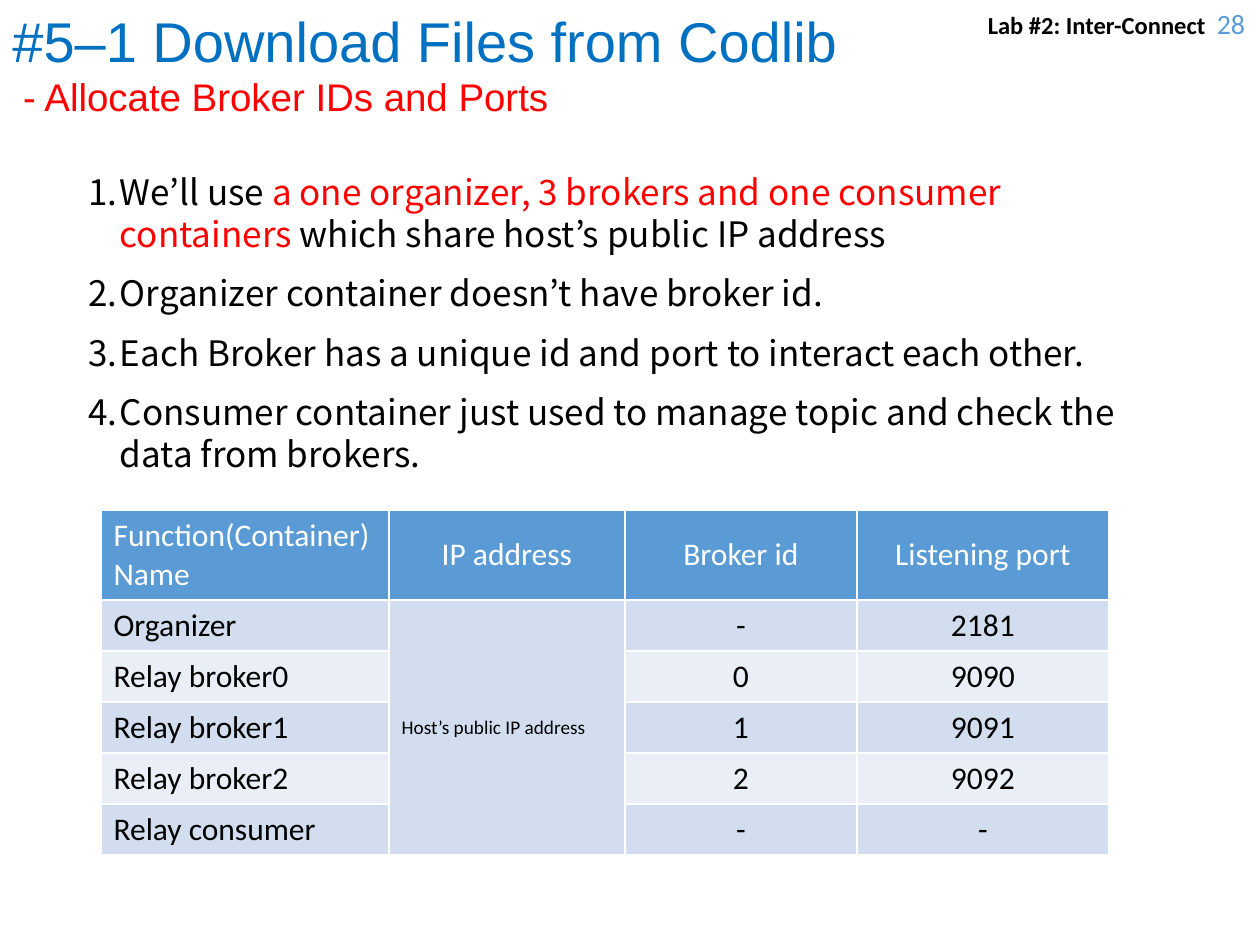
from typing import NamedTuple, Optional

from lxml.etree import SubElement
from pptx import Presentation
from pptx.dml.color import RGBColor
from pptx.enum.shapes import MSO_SHAPE
from pptx.enum.text import MSO_ANCHOR, PP_ALIGN
from pptx.oxml import parse_xml
from pptx.oxml.ns import nsdecls, qn
from pptx.util import Emu, Pt

PX = 914400 // 126

BLACK = RGBColor(0x00, 0x00, 0x00)
WHITE = RGBColor(0xFF, 0xFF, 0xFF)
RED = RGBColor(0xFF, 0x00, 0x00)
TITLE_BLUE = RGBColor(0x00, 0x70, 0xC0)
ACCENT = RGBColor(0x5B, 0x9B, 0xD5)
BAND_DARK = RGBColor(0xD2, 0xDE, 0xEF)
BAND_LIGHT = RGBColor(0xEA, 0xEF, 0xF7)


class Box(NamedTuple):
    x: int
    y: int
    w: int
    h: int

    def emu(self) -> list[Emu]:
        return [Emu(v * PX) for v in self]


class Span(NamedTuple):
    text: str
    size: int
    color: RGBColor = BLACK
    font: str = "Calibri"
    bold: bool = False


def add_spans(p, spans: list[Span], align: Optional[PP_ALIGN] = PP_ALIGN.LEFT) -> None:
    p.alignment = align
    for span in spans:
        r = p.add_run()
        r.text = span.text
        r.font.size = Pt(span.size)
        r.font.name = span.font
        r.font.bold = span.bold
        r.font.color.rgb = span.color


def add_text(s, box: Box):
    tf = s.shapes.add_textbox(*box.emu()).text_frame
    tf.word_wrap = True
    return tf


def number_paragraph(p) -> None:
    pPr = p._p.get_or_add_pPr()
    pPr.set("marL", "228600")
    pPr.set("indent", "-228600")
    SubElement(pPr, qn("a:buFont")).set("typeface", "+mj-lt")
    SubElement(pPr, qn("a:buAutoNum")).set("type", "arabicPeriod")


def set_borders(cell) -> None:
    tcPr = cell._tc.get_or_add_tcPr()
    for i, side in enumerate("LRTB"):
        tcPr.insert(i, parse_xml(
            f'<a:ln{side} {nsdecls("a")} w="{Pt(1)}"><a:solidFill>'
            f'<a:srgbClr val="{WHITE}"/></a:solidFill></a:ln{side}>'))


def fill_cell(cell, span: Span, fill: RGBColor, align: PP_ALIGN,
              anchor: MSO_ANCHOR) -> None:
    cell.fill.solid()
    cell.fill.fore_color.rgb = fill
    cell.vertical_anchor = anchor
    set_borders(cell)
    add_spans(cell.text_frame.paragraphs[0], [span], align)


prs = Presentation()
prs.slide_width, prs.slide_height = Emu(1260 * PX), Emu(945 * PX)
s = prs.slides.add_slide(prs.slide_layouts[6])

# Running header with page number
tf = add_text(s, Box(973, 0, 287, 50))
add_spans(tf.paragraphs[0], [Span("Lab #2: Inter-Connect  ", 14, bold=True),
                             Span("28", 16, ACCENT)], PP_ALIGN.CENTER)

# Title and subtitle
sp = s.shapes.add_shape(MSO_SHAPE.RECTANGLE, *Box(0, 0, 927, 127).emu())
sp.shadow.inherit = False
sp.fill.solid()
sp.fill.fore_color.rgb = WHITE
sp.line.fill.background()
tf = sp.text_frame
tf.word_wrap = True
tf.vertical_anchor = MSO_ANCHOR.TOP
add_spans(tf.paragraphs[0], [Span("#5–1 Download Files from Codlib", 32, TITLE_BLUE, "Arial")])
add_spans(tf.add_paragraph(), [Span(" - Allocate Broker IDs and Ports", 22, RED, "Arial")])

# Numbered notes
NOTES = [
    [("We’ll use ", BLACK),
     ("a one organizer, 3 brokers and one consumer containers ", RED),
     ("which share host’s public IP address", BLACK)],
    [("Organizer container doesn’t have broker id.", BLACK)],
    [("Each Broker has a unique id and port to interact each other.", BLACK)],
    [("Consumer container just used to manage topic and check the data from brokers.", BLACK)],
]
tf = add_text(s, Box(76, 164, 1061, 534))
for i, note in enumerate(NOTES):
    p = tf.add_paragraph() if i else tf.paragraphs[0]
    add_spans(p, [Span(text, 20, color, "Noto Sans CJK KR") for text, color in note])
    p.line_spacing = 1.0
    p.space_before = Pt(10)
    number_paragraph(p)

# Table of containers
HEADER = ["Function(Container) Name", "IP address", "Broker id", "Listening port"]
ROWS = [
    ("Organizer", "-", "2181"),
    ("Relay broker0", "0", "9090"),
    ("Relay broker1", "1", "9091"),
    ("Relay broker2", "2", "9092"),
    ("Relay consumer", "-", "-"),
]
COL_WIDTHS = [288, 236, 232, 252]
ROW_HEIGHTS = [90] + [51] * len(ROWS)
IP_COL = 1

table = s.shapes.add_table(
    len(ROW_HEIGHTS), len(HEADER),
    *Box(101, 510, sum(COL_WIDTHS), sum(ROW_HEIGHTS)).emu()).table
for col, width in zip(table.columns, COL_WIDTHS):
    col.width = Emu(width * PX)
for row, height in zip(table.rows, ROW_HEIGHTS):
    row.height = Emu(height * PX)

for c, label in enumerate(HEADER):
    fill_cell(table.cell(0, c), Span(label, 18, WHITE), ACCENT,
              PP_ALIGN.CENTER if c else PP_ALIGN.LEFT, MSO_ANCHOR.MIDDLE)
for r, values in enumerate(ROWS, start=1):
    band = BAND_DARK if r % 2 else BAND_LIGHT
    for c, value in zip((0, 2, 3), values):
        fill_cell(table.cell(r, c), Span(value, 18), band,
                  PP_ALIGN.CENTER if c else PP_ALIGN.LEFT, MSO_ANCHOR.TOP)
ip_cell = table.cell(1, IP_COL)
ip_cell.merge(table.cell(len(ROWS), IP_COL))
fill_cell(ip_cell, Span("Host’s public IP address", 11), BAND_DARK,
          PP_ALIGN.LEFT, MSO_ANCHOR.MIDDLE)

prs.save("out.pptx")
